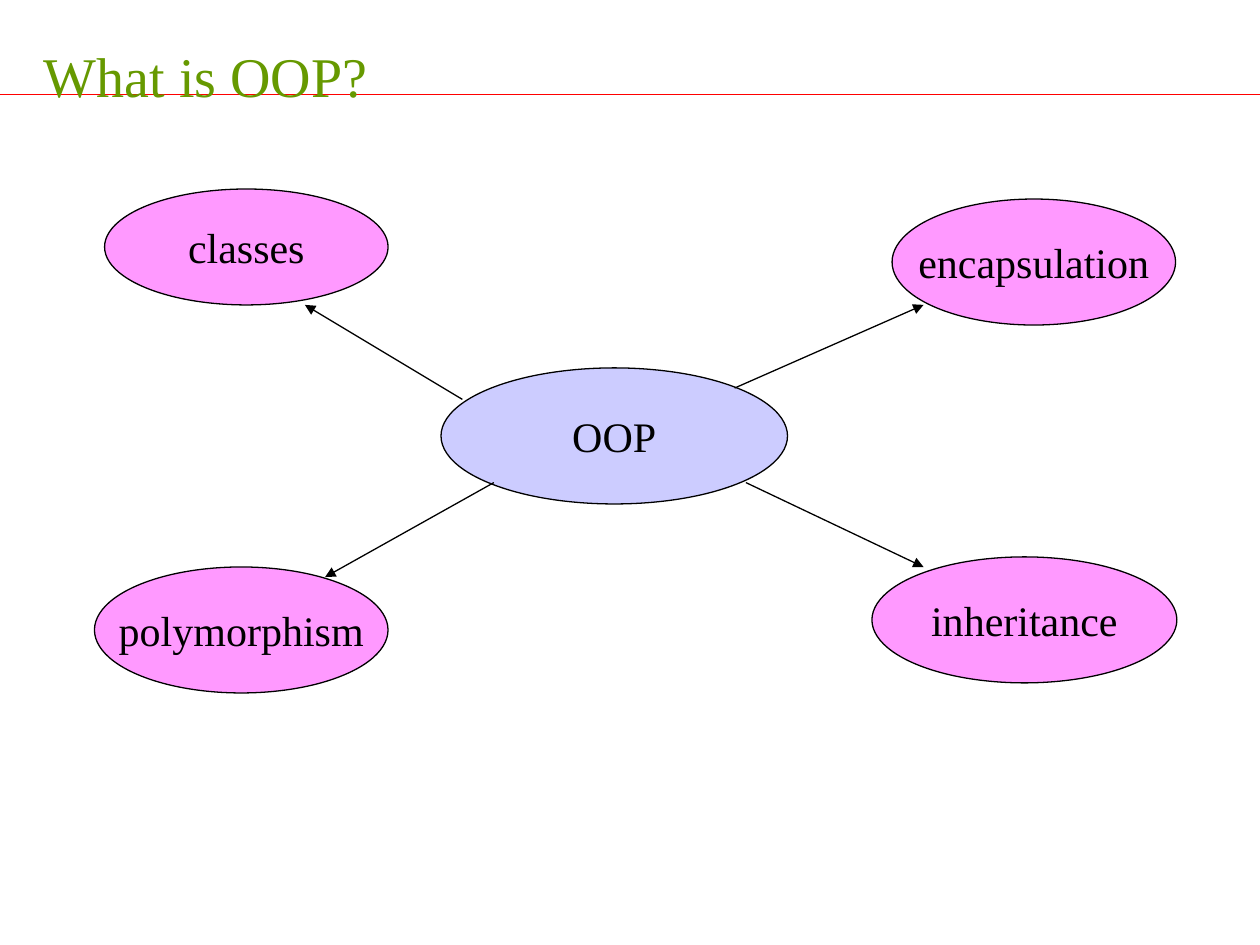
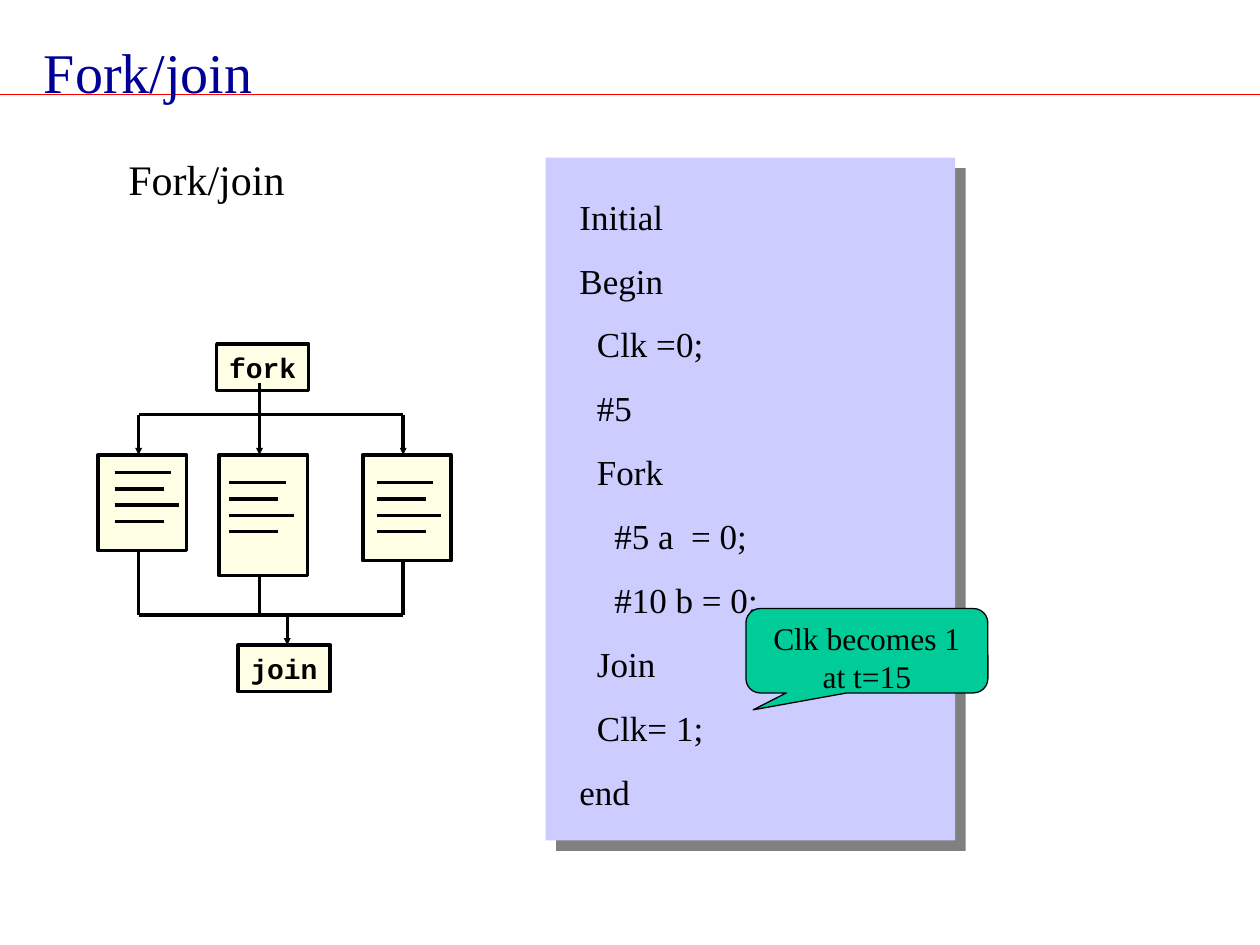
from lxml import etree
from pptx import Presentation
from pptx.dml.color import RGBColor
from pptx.enum.shapes import MSO_CONNECTOR, MSO_SHAPE as Preset
from pptx.enum.text import MSO_ANCHOR as Anchor, PP_ALIGN as Align
from pptx.oxml.ns import qn
from pptx.util import Inches, Pt

COLOURS = {
    "black": "000000", "rule": "FF0000", "green": "669900", "navy": "000099",
    "lavender": "CCCCFF", "pink": "FF99FF", "cream": "FFFFE5",
    "teal": "00CC99", "shadow": "808080",
}
SERIF, MONO = "Times New Roman", "Courier New"
THIN, THICK = 0.75, 2

CONCEPTS = [
    ("encapsulation", (6.33, 0.08, 2.25, 1), (5.08, 1.58), (6.58, 0.92)),
    ("classes", (0.08, 0, 2.25, 0.92), (2.92, 1.67), (1.67, 0.92)),
    ("polymorphism", (0, 3, 2.33, 1), (3.17, 2.33), (1.83, 3.08)),
    ("inheritance", (6.17, 2.92, 2.42, 1), (5.17, 2.33), (6.58, 3)),
]
BRANCHES = [
    (0, 0.76, 0.32, (0.13, 0.14)),
    (0.96, 0.96, 1.28, (0.08, 0.22)),
    (2.1, 0.84, 2.42, (0.11, 0.22)),
]
CODE_LINES = [
    "Initial", "Begin", "  Clk =0;", "  #5", "  Fork", "    #5 a  = 0;",
    "    #10 b = 0;", "  Join", "  Clk= 1;", "end",
]


def colour(name):
    """Return the named colour."""
    return RGBColor.from_string(COLOURS[name])


def shifted(box, left, top):
    """Move a box or point by the given distance."""
    return (box[0] + left, box[1] + top, *box[2:])


def add_line(shapes, start, end, width=THIN, line_colour="black", head=None):
    """Draw a straight line, with an arrowhead of the given size if any."""
    connector = shapes.add_connector(
        MSO_CONNECTOR.STRAIGHT, *(Inches(value) for value in (*start, *end)))
    connector.line.color.rgb = colour(line_colour)
    connector.line.width = Pt(width)
    if head:
        etree.SubElement(connector.line._get_or_add_ln(), qn("a:tailEnd"),
                         type="triangle", w=head, len=head)
    etree.SubElement(connector._element.spPr, qn("a:effectLst"))


def write(shape, lines, size, font=SERIF, text_colour="black",
          align=Align.LEFT, anchor=Anchor.TOP, wrap=True, gap=0):
    """Fill a shape with paragraphs of one style."""
    frame = shape.text_frame
    frame.word_wrap = wrap
    frame.vertical_anchor = anchor
    for index, line in enumerate(lines):
        paragraph = frame.add_paragraph() if index else frame.paragraphs[0]
        paragraph.alignment = align
        if index:
            paragraph.space_before = Pt(gap)
        run = paragraph.add_run()
        run.text = line
        run.font.name = font
        run.font.size = Pt(size)
        run.font.bold = font == MONO
        run.font.color.rgb = colour(text_colour)


def add_text(slide, box, lines, size, **style):
    """Add a text box."""
    text_box = slide.shapes.add_textbox(*(Inches(value) for value in box))
    write(text_box, lines, size, **style)


def add_block(slide, preset, box, fill, width=THIN):
    """Add a filled shape, outlined if a width is given."""
    shape = slide.shapes.add_shape(preset, *(Inches(value) for value in box))
    shape.shadow.inherit = False
    shape.fill.solid()
    shape.fill.fore_color.rgb = colour(fill)
    if width:
        shape.line.color.rgb = colour("black")
        shape.line.width = Pt(width)
    else:
        shape.line.fill.background()
    return shape


def add_titled_slide(presentation, title, box, title_colour):
    """Start a slide with the red rule and its title."""
    slide = presentation.slides.add_slide(presentation.slide_layouts[6])
    add_line(slide.shapes, (0, 0.75), (10, 0.75), line_colour="rule")
    add_text(slide, box, [title], 32, text_colour=title_colour)
    return slide


def add_concept_map(slide, left, top):
    """Draw the central ellipse with its four linked concepts."""
    ellipses = [("OOP", (2.75, 1.42, 2.75, 1.08), "lavender")]
    ellipses += [(label, box, "pink") for label, box, *_ in CONCEPTS]
    for label, box, fill in ellipses:
        ellipse = add_block(slide, Preset.OVAL, shifted(box, left, top), fill)
        write(ellipse, [label], 24, align=Align.CENTER, anchor=Anchor.MIDDLE,
              wrap=False)
    for _, _, start, end in CONCEPTS:
        add_line(slide.shapes, shifted(start, left, top),
                 shifted(end, left, top), head="med")


def add_page(slide, box, text_offset):
    """Draw a page holding four grouped strokes."""
    add_block(slide, Preset.RECTANGLE, box, "cream", THICK)
    strokes = slide.shapes.add_group_shape().shapes
    left, top = shifted(box[:2], *text_offset)
    for row, length in enumerate((0.45, 0.39, 0.51, 0.39)):
        y = top + row * 0.13
        add_line(strokes, (left, y), (left + length, y), THICK)


def add_fork_diagram(slide, left, top):
    """Draw three branches running from fork to join."""
    fork_bar, page_top, join_bar, join_top = (
        top + value for value in (0.56, 0.88, 2.15, 2.39))
    for label, box in (("fork", (left + 0.94, top, 0.73, 0.37)),
                       ("join", (left + 1.11, join_top, 0.73, 0.37))):
        node = add_block(slide, Preset.RECTANGLE, box, "cream", THICK)
        write(node, [label], 16, font=MONO, anchor=Anchor.MIDDLE, wrap=False)
    for page_left, height, stem, text_offset in BRANCHES:
        add_page(slide, (left + page_left, page_top, 0.7, height), text_offset)
        x = left + stem
        add_line(slide.shapes, (x, fork_bar), (x, page_top), THICK, head="sm")
        add_line(slide.shapes, (x, page_top + height), (x, join_bar), THICK)
    first, middle, last = (left + branch[2] for branch in BRANCHES)
    for bar in (fork_bar, join_bar):
        add_line(slide.shapes, (first, bar), (last, bar), THICK)
    add_line(slide.shapes, (middle, top + 0.31), (middle, fork_bar), THICK)
    add_line(slide.shapes, (left + 1.5, join_bar), (left + 1.5, join_top),
             THICK, head="sm")


def add_code_panel(slide, left, top):
    """Draw the shadowed code listing and its callout."""
    panel = add_block(slide, Preset.RECTANGLE, (left, top, 3.25, 5.42),
                      "lavender", None)
    effects = panel._element.spPr.find(qn("a:effectLst"))
    shadow = etree.SubElement(effects, qn("a:outerShdw"), dist=str(Pt(8.5)),
                              dir="2700000", algn="ctr", rotWithShape="0")
    etree.SubElement(shadow, qn("a:srgbClr"), val=COLOURS["shadow"])
    add_text(slide, (left + 0.17, top + 0.25, 4.42, 5), CODE_LINES, 20, gap=12.5)
    callout = add_block(slide, Preset.ROUNDED_RECTANGULAR_CALLOUT,
                        (left + 1.59, top + 3.58, 1.92, 0.67), "teal")
    for index, value in enumerate((-0.47, 0.7, 0.17)):
        callout.adjustments[index] = value
    write(callout, ["Clk becomes 1 at t=15"], 18, align=Align.CENTER)


def build_concept_slide(presentation):
    """Build the slide on object-oriented concepts."""
    slide = add_titled_slide(presentation, "What is OOP?",
                             (0.25, 0.28, 3.17, 0.64), "green")
    add_concept_map(slide, 0.75, 1.5)


def build_fork_slide(presentation):
    """Build the slide on fork and join."""
    slide = add_titled_slide(presentation, "Fork/join",
                             (0.25, 0.25, 5.25, 0.64), "navy")
    add_fork_diagram(slide, 0.78, 2.73)
    add_text(slide, (0.92, 1.17, 3.17, 0.5), ["Fork/join"], 24)
    add_code_panel(slide, 4.33, 1.25)


def main():
    """Build and save the presentation."""
    presentation = Presentation()
    presentation.slide_width = Inches(10)
    presentation.slide_height = Inches(7.5)
    build_concept_slide(presentation)
    build_fork_slide(presentation)
    presentation.save("out.pptx")


if __name__ == "__main__":
    main()
